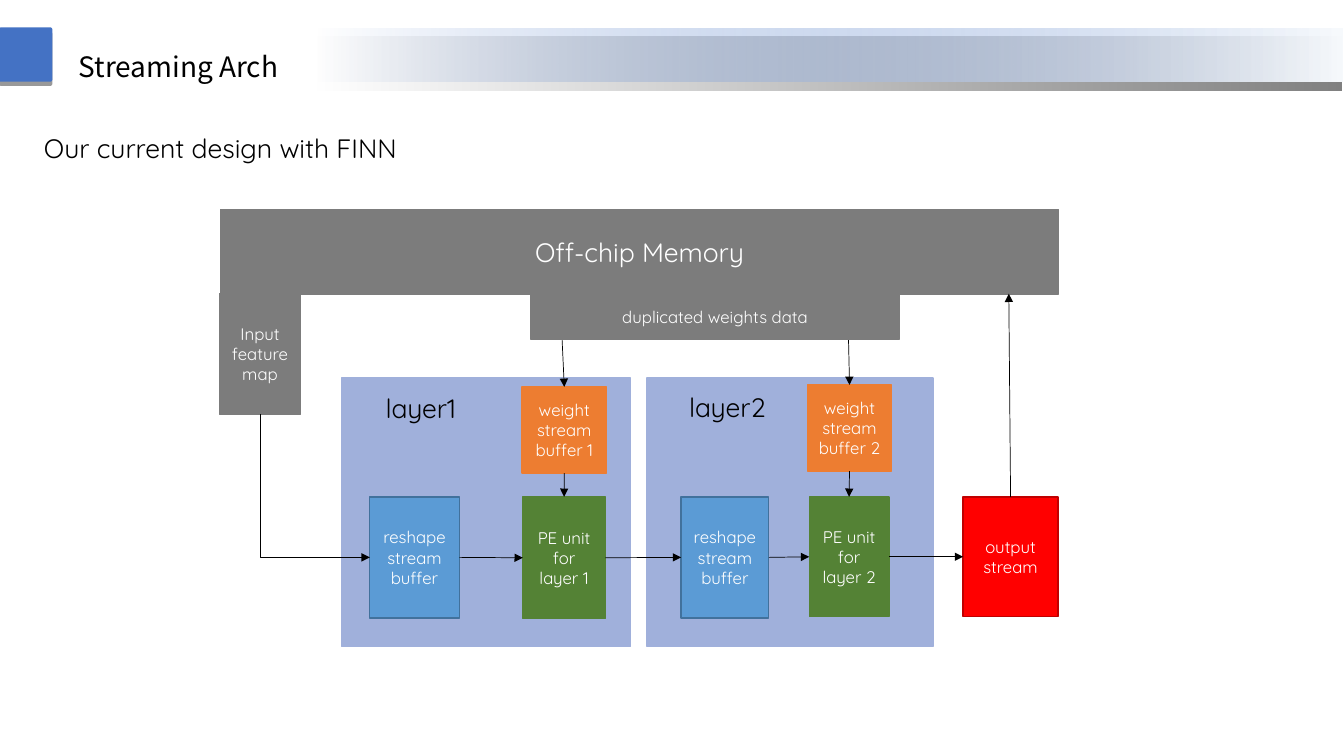
from dataclasses import dataclass

from pptx import Presentation
from pptx.dml.color import RGBColor
from pptx.enum.shapes import MSO_CONNECTOR as Link, MSO_SHAPE as Preset
from pptx.enum.text import MSO_ANCHOR as Anchor, MSO_AUTO_SIZE as AutoSize, PP_ALIGN as Align
from pptx.oxml.ns import qn
from pptx.oxml.xmlchemy import OxmlElement
from pptx.shapes.autoshape import Shape
from pptx.shapes.connector import Connector
from pptx.util import Cm, Pt


@dataclass(frozen=True)
class Theme:
    accent: str = "4472C4"
    pale: str = "F7FAFD"
    panel: str = "A0B0DB"
    memory: str = "7C7C7C"
    reshape: str = "5B9BD5"
    reshape_edge: str = "41719C"
    weight: str = "ED7D31"
    unit: str = "548235"
    output: str = "FF0000"
    output_edge: str = "C00000"
    ink: str = "000000"
    light: str = "FFFFFF"
    body_font: str = "Quicksand"
    title_font: str = "Noto Sans CJK SC"
    title_size: int = 20
    label_size: int = 19
    block_size: int = 12


@dataclass(frozen=True)
class Block:
    x: float
    y: float
    w: float
    h: float
    fill: str
    text: str = ""
    edge: str = ""
    size: int = Theme.block_size


@dataclass(frozen=True)
class Label:
    x: float
    y: float
    w: float
    h: float
    text: str
    size: int = Theme.label_size
    font: str = Theme.body_font
    wrap: bool = True
    spacing: float = 1.0


THEME = Theme()
TOP, LEFT, BOTTOM, RIGHT = range(4)
ROW_TOP = 12.52  # shared top of the processing row

deck = Presentation()
deck.slide_width, deck.slide_height = Cm(33.88), Cm(19.05)
slide = deck.slides.add_slide(deck.slide_layouts[6])
shapes = slide.shapes


def rgb(value: str) -> RGBColor:
    return RGBColor.from_string(value)


def add_run(frame, text: str, size: int, font: str, color: str) -> None:
    run = frame.paragraphs[0].add_run()
    run.text = text
    run.font.size, run.font.name = Pt(size), font
    run.font.color.rgb = rgb(color)


def draw_block(block: Block, preset=Preset.RECTANGLE) -> Shape:
    shape = shapes.add_shape(preset, Cm(block.x), Cm(block.y), Cm(block.w), Cm(block.h))
    shape.shadow.inherit = False
    shape.fill.solid()
    shape.fill.fore_color.rgb = rgb(block.fill)
    shape.line.color.rgb = rgb(block.edge or block.fill)
    shape.line.width = Pt(1)
    if block.text:
        frame = shape.text_frame
        frame.word_wrap = True
        frame.vertical_anchor = Anchor.MIDDLE
        frame.paragraphs[0].alignment = Align.CENTER
        add_run(frame, block.text, block.size, THEME.body_font, THEME.light)
    return shape


def draw_label(label: Label) -> None:
    box = shapes.add_textbox(Cm(label.x), Cm(label.y), Cm(label.w), Cm(label.h))
    frame = box.text_frame
    frame.word_wrap = label.wrap
    frame.auto_size = AutoSize.SHAPE_TO_FIT_TEXT
    frame.paragraphs[0].line_spacing = label.spacing
    add_run(frame, label.text, label.size, label.font, THEME.ink)


def add_alpha(color, percent: int) -> None:
    alpha = OxmlElement("a:alpha")
    alpha.set("val", str(percent * 1000))
    color.append(alpha)


def drop_shadow(shape: Shape, percent: int, distance: int, degrees: int) -> None:
    shadow = OxmlElement("a:outerShdw")
    for key, value in (("blurRad", 0), ("dist", Pt(distance)), ("dir", degrees * 60000),
                       ("algn", "t"), ("rotWithShape", 0)):
        shadow.set(key, str(value))
    color = OxmlElement("a:srgbClr")
    color.set("val", THEME.ink)
    add_alpha(color, percent)
    shadow.append(color)
    shape._element.spPr.find(qn("a:effectLst")).append(shadow)


def style_arrow(arrow: Connector) -> None:
    arrow.line.color.rgb = rgb(THEME.ink)
    arrow.line.width = Pt(0.5)
    head = OxmlElement("a:tailEnd")
    head.set("type", "triangle")
    arrow.line._get_or_add_ln().append(head)
    arrow._element.spPr.append(OxmlElement("a:effectLst"))


def join(start: Shape, start_side: int, end: Shape, end_side: int) -> None:
    arrow = shapes.add_connector(Link.STRAIGHT, 0, 0, 0, 0)
    arrow.begin_connect(start, start_side)
    arrow.end_connect(end, end_side)
    style_arrow(arrow)


def feed(x: float, y: float, target: Shape) -> None:
    """Arrow from a point on a long edge down to the top of a block."""
    arrow = shapes.add_connector(Link.STRAIGHT, Cm(x), Cm(y), Cm(x), Cm(y))
    arrow.end_connect(target, TOP)
    style_arrow(arrow)


def down_then_right(start: Shape, end: Shape) -> None:
    x1, y1 = start.left + start.width // 2, start.top + start.height
    x2, y2 = end.left, end.top + end.height // 2
    mid_x, mid_y = (x1 + x2) // 2, (y1 + y2) // 2
    half_w, half_h = (y2 - y1) // 2, (x2 - x1) // 2  # sides swap in the quarter turn
    arrow = shapes.add_connector(Link.ELBOW, mid_x + half_w, mid_y - half_h,
                                 mid_x - half_w, mid_y + half_h)
    properties = arrow._element.spPr
    properties.find(qn("a:prstGeom")).set("prst", "bentConnector2")
    properties.find(qn("a:xfrm")).set("rot", str(270 * 60000))
    style_arrow(arrow)


# Layer panels
for panel in (Block(16.31, 9.53, 7.21, 6.76, THEME.panel),
              Block(8.61, 9.53, 7.29, 6.76, THEME.panel)):
    draw_block(panel)

# Header: fading band and square marker
band = draw_block(Block(7.87, 0.71, 25.98, 1.35, THEME.accent))
band.line.fill.background()
band.fill.gradient()
band.fill.gradient_angle = 180
for stop, color in zip(band.fill.gradient_stops, (THEME.pale, THEME.accent)):
    stop.color.rgb = rgb(color)
add_alpha(list(band._element.spPr.iter(qn("a:srgbClr")))[-1], 0)
drop_shadow(band, 50, 6, 97)

marker = draw_block(Block(-0.03, 0.69, 1.35, 1.37, THEME.accent), Preset.ROUNDED_RECTANGLE)
marker.adjustments[0] = 0.04
marker.line.fill.background()
drop_shadow(marker, 40, 3, 90)

# Memory and its regions
feature_map = draw_block(Block(5.54, 7.39, 2.03, 3.05, THEME.memory, "Input feature map"))
draw_block(Block(13.39, 7.39, 9.27, 1.17, THEME.memory, "duplicated weights data"))
draw_block(Block(5.56, 5.28, 21.13, 2.13, THEME.memory, "Off-chip Memory", size=THEME.label_size))

# Processing blocks
reshape1, reshape2 = (
    draw_block(Block(x, ROW_TOP, w, 3.05, THEME.reshape, "reshape stream buffer", THEME.reshape_edge))
    for x, w in ((9.32, 2.26), (17.17, 2.21)))
weight1, weight2 = (
    draw_block(Block(x, y, 2.13, 2.17, THEME.weight, f"weight stream buffer {layer}"))
    for layer, x, y in ((1, 13.16, 9.75), (2, 20.35, 9.7)))
unit1, unit2 = (
    draw_block(Block(x, ROW_TOP, w, h, THEME.unit, f"PE unit for layer {layer}"))
    for layer, x, w, h in ((1, 13.18, 2.08, 3.07), (2, 20.4, 2.01, 3.02)))
output = draw_block(Block(24.28, ROW_TOP, 2.39, 3.02, THEME.output, "output stream", THEME.output_edge))

# Data flow
row = (reshape1, unit1, reshape2, unit2, output)
for source, target in zip(row, row[1:]):
    join(source, RIGHT, target, LEFT)
for weight, unit, feed_x in ((weight1, unit1, 14.17), (weight2, unit2, 21.39)):
    feed(feed_x, 8.57, weight)
    join(weight, BOTTOM, unit, TOP)
write_back = shapes.add_connector(Link.STRAIGHT, 0, 0, Cm(25.43), Cm(7.4))
write_back.begin_connect(output, TOP)
style_arrow(write_back)
down_then_right(feature_map, reshape1)

# Headings
for label in (
    Label(1.73, 0.69, 5.66, 1.52, "Streaming Arch", THEME.title_size, THEME.title_font, False, 1.5),
    Label(0.86, 3.2, 9.91, 1.07, "Our current design with FINN"),
    Label(9.47, 9.75, 2.67, 1.07, "layer1"),
    Label(17.12, 9.73, 4.37, 1.07, "layer2"),
):
    draw_label(label)

deck.save("out.pptx")
